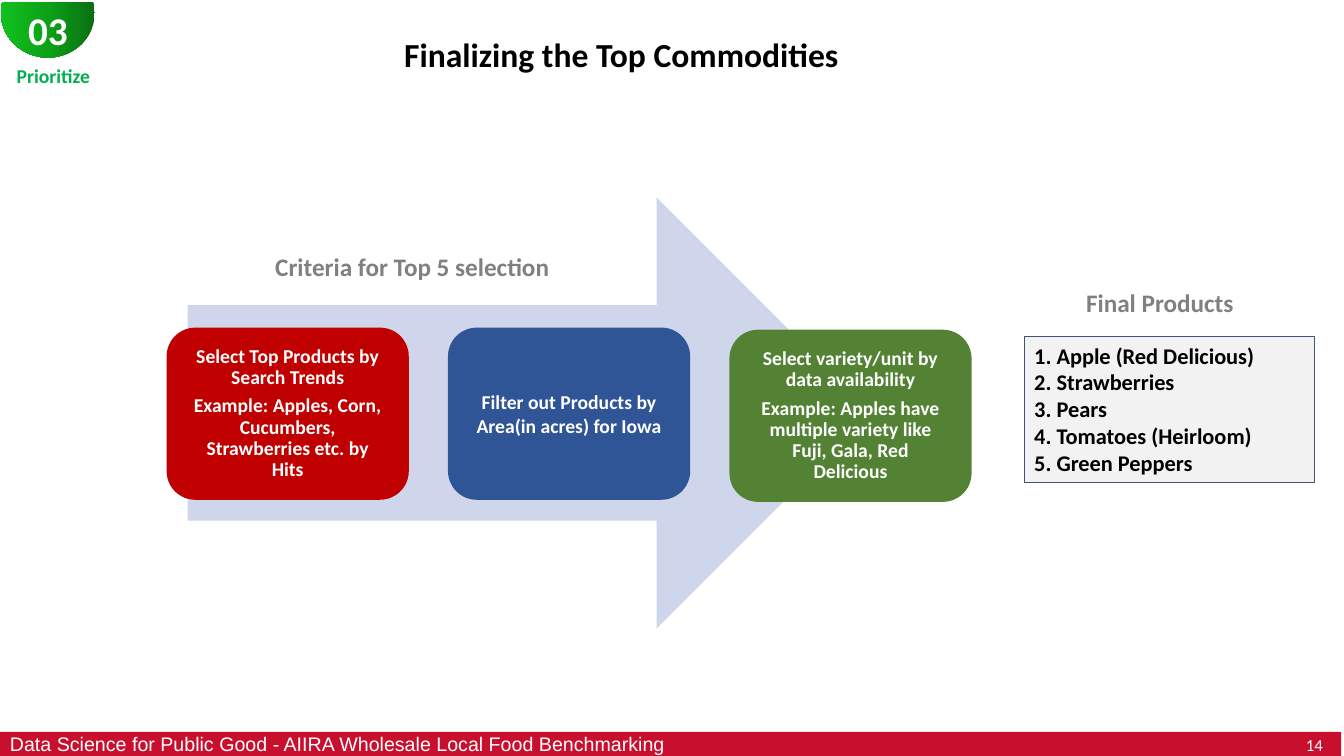
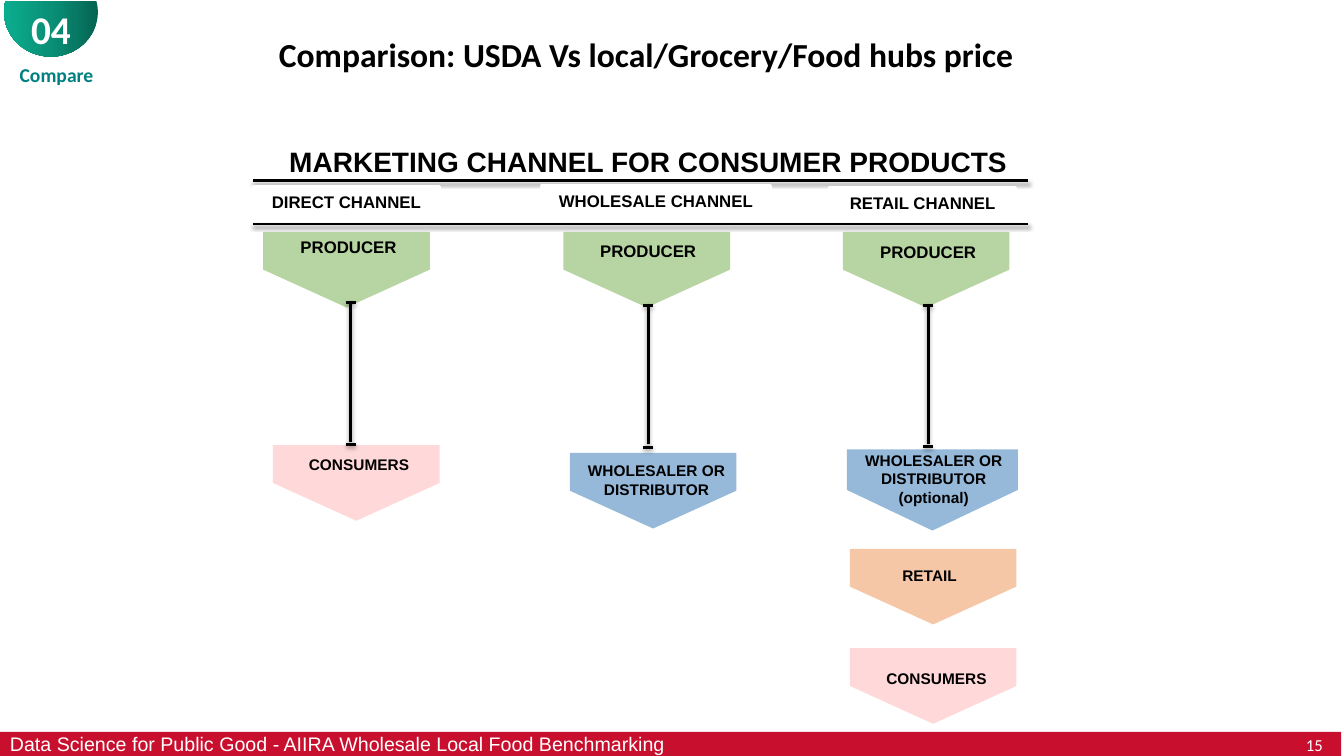
from copy import deepcopy
from math import cos, pi, sin

from lxml.etree import SubElement as Sub
from pptx import Presentation
from pptx.dml.color import RGBColor as RGB
from pptx.enum.shapes import MSO_CONNECTOR as Link, MSO_SHAPE as Kind
from pptx.enum.text import MSO_ANCHOR as Anchor, MSO_AUTO_SIZE as Auto, PP_ALIGN as Align
from pptx.oxml.ns import qn
from pptx.util import Pt

WHITE = RGB(0xFF, 0xFF, 0xFF)
BLACK = RGB(0x00, 0x00, 0x00)
CRIMSON = RGB(0xC8, 0x10, 0x2E)
GRAY = RGB(0x80, 0x80, 0x80)
PALE = RGB(0xF2, 0xF2, 0xF2)
SLATE = RGB(0x44, 0x54, 0x6A)
MIST = RGB(0xCF, 0xD5, 0xEA)
RED = RGB(0xC0, 0x00, 0x00)
NAVY = RGB(0x2F, 0x55, 0x97)
MOSS = RGB(0x54, 0x82, 0x35)
LEAF = RGB(0x70, 0xAD, 0x47)
ROSE = RGB(0xFF, 0x00, 0x00)
SKY = RGB(0x2E, 0x75, 0xB6)
PEACH = RGB(0xEF, 0x90, 0x4F)
GREEN = RGB(0x00, 0xB0, 0x50)
TEAL = RGB(0x00, 0x80, 0x80)
GREENS = RGB(0x09, 0x6F, 0x11), RGB(0x0D, 0xA1, 0x18), RGB(0x10, 0xC1, 0x1E)
TEALS = RGB(0x05, 0x64, 0x52), RGB(0x09, 0x90, 0x77), RGB(0x0B, 0xAD, 0x8F)

SANS = "Calibri"
PLAIN = "Arial"
FOOTER = "Data Science for Public Good - AIIRA Wholesale Local Food Benchmarking"


class Deck:
    def __init__(self):
        self.prs = Presentation()
        self.prs.slide_width = Pt(960)
        self.prs.slide_height = Pt(540)
        self.slide = None

    def start(self, layout, title, x, width, page):
        self.slide = self.prs.slides.add_slide(self.prs.slide_layouts[layout])
        head = self.slide.shapes.title
        self.place(head, x, 26.6, width, 24.5)
        self.paint(head, WHITE, WHITE, 2)
        self.label(head, [title], 24, align=Align.LEFT)
        band = self.shape(Kind.RECTANGLE, 0, 522.7, 958, 17.3, CRIMSON)
        self.label(band, [FOOTER], 14, WHITE, PLAIN, False, Align.LEFT, inset=(7.2, 0))
        self.text(738, 520.6, 214, 22.4, str(page), 12, WHITE, bold=False, align=Align.RIGHT)

    def place(self, item, x, y, w, h):
        item.left, item.top, item.width, item.height = Pt(x), Pt(y), Pt(w), Pt(h)

    def paint(self, item, fill, line=None, width=1):
        item.fill.solid()
        item.fill.fore_color.rgb = fill
        if line is None:
            item.line.fill.background()
        else:
            item.line.color.rgb = line
            item.line.width = Pt(width)

    def label(self, item, lines, size, color=BLACK, font=SANS, bold=True,
              align=Align.CENTER, anchor=Anchor.MIDDLE, inset=(7.2, 3.6)):
        frame = item.text_frame
        frame.text = "\n".join(lines)
        frame.word_wrap = True
        frame.auto_size = Auto.NONE
        frame.vertical_anchor = anchor
        frame.margin_left = frame.margin_right = Pt(inset[0])
        frame.margin_top = frame.margin_bottom = Pt(inset[1])
        for para in frame.paragraphs:
            para.alignment = align
            para.space_before = Pt(0)
            for run in para.runs:
                run.font.size = Pt(size)
                run.font.name = font
                run.font.bold = bold
                run.font.color.rgb = color
        return frame

    def text(self, x, y, w, h, words, size, color=BLACK, font=SANS, **style):
        box = self.slide.shapes.add_textbox(Pt(x), Pt(y), Pt(w), Pt(h))
        self.label(box, [words], size, color, font, **style)

    def shape(self, kind, x, y, w, h, fill, line=None, width=1):
        item = self.slide.shapes.add_shape(kind, Pt(x), Pt(y), Pt(w), Pt(h))
        item.shadow.inherit = False
        self.paint(item, fill, line, width)
        return item

    def badge(self, x, y, number, words, color, stops):
        arc = [-0.25 + (pi + 0.5) * i / 48 for i in range(49)]
        dots = [(Pt(x + 33.5 + 33.5 * cos(a)), Pt(y + 8 + 31.7 * sin(a))) for a in arc]
        form = self.slide.shapes.build_freeform(*dots[0])
        form.add_line_segments(dots[1:], close=True)
        bowl = form.convert_to_shape()
        bowl.shadow.inherit = False
        bowl.line.fill.background()
        bowl.fill.gradient()
        bowl.fill.gradient_angle = 180
        ramp = bowl._element.spPr.find(".//" + qn("a:gsLst"))
        ramp.insert(1, deepcopy(ramp[0]))
        for i, (stop, shade) in enumerate(zip(bowl.fill.gradient_stops, stops)):
            stop.position = i / 2
            stop.color.rgb = shade
        self.label(bowl, [number], 28, WHITE)
        self.text(x, y + 40.5, 75, 24.5, words, 14, color, anchor=Anchor.TOP)

    def card(self, x, y, fill, lines):
        item = self.shape(Kind.ROUNDED_RECTANGLE, x, y, 173, 123, fill)
        frame = self.label(item, lines, 14, WHITE, inset=(13.2, 9.6))
        if len(lines) > 1:
            for para in frame.paragraphs:
                para.line_spacing = 0.9
            frame.paragraphs[0].space_after = Pt(5)

    def list(self, x, y, w, h, lines):
        body = self.slide.placeholders[1]
        self.place(body, x, y, w, h)
        self.paint(body, PALE, SLATE, 0.75)
        frame = self.label(body, lines, 16, align=Align.LEFT, anchor=Anchor.TOP)
        for para in frame.paragraphs:
            props = para._p.get_or_add_pPr()
            props.set("marL", str(Pt(16)))
            props.set("indent", str(-Pt(16)))
            Sub(props, qn("a:buFont"), typeface=SANS)
            Sub(props, qn("a:buAutoNum"), type="arabicPeriod")

    def panel(self, x, y, w, h, words, size):
        item = self.shape(Kind.RECTANGLE, x, y, w, h, WHITE, WHITE, 2)
        self.label(item, [words], size, BLACK, PLAIN)

    def plate(self, x, y, words, shift, fill, alpha, size=11, w=119, h=54):
        item = self.shape(Kind.PENTAGON, x + (w - h) / 2, y - (w - h) / 2, h, w, fill)
        item.rotation = 90
        tint = item._element.spPr.find(".//" + qn("a:srgbClr"))
        Sub(tint, qn("a:alpha"), val=str(alpha * 1000))
        dx, dy = shift
        self.text(x + dx, y + dy, 114, 21.6, words, size, BLACK, PLAIN, inset=(0, 0))

    def line(self, x1, y1, x2, y2):
        item = self.slide.shapes.add_connector(Link.STRAIGHT, Pt(x1), Pt(y1), Pt(x2), Pt(y2))
        item.line.color.rgb = BLACK
        item.line.width = Pt(2)
        glow = Sub(item._element.spPr, qn("a:effectLst"))
        shade = Sub(glow, qn("a:outerShdw"), blurRad=str(Pt(3.1)), dist=str(Pt(1.6)),
                    dir="5400000", rotWithShape="0")
        Sub(Sub(shade, qn("a:srgbClr"), val=str(BLACK)), qn("a:alpha"), val="38000")

    def stem(self, x, top, low):
        self.line(x, top + 1.5, x, low - 2)
        for y in (top, low):
            self.line(x - 3.5, y, x + 3.5, y)


def rank(deck):
    deck.start(1, "Finalizing the Top Commodities", 281.5, 527, 14)
    deck.badge(0.7, 1.4, "03", "Prioritize", GREEN, GREENS)
    deck.shape(Kind.RIGHT_ARROW, 134, 141, 489, 308, MIST)
    cards = [
        (234, RED, ["Select Top Products by Search Trends",
                    "Example: Apples, Corn, Cucumbers, Strawberries etc. by Hits"]),
        (234, NAVY, ["Filter out Products by Area(in acres) for Iowa"]),
        (235.5, MOSS, ["Select variety/unit by data availability",
                       "Example: Apples have multiple variety like Fuji, Gala, Red Delicious"]),
    ]
    for i, (y, fill, lines) in enumerate(cards):
        deck.card(119 + 201 * i, y, fill, lines)
    deck.text(132, 176, 325, 29, "Criteria for Top 5 selection", 18, GRAY, anchor=Anchor.TOP)
    deck.text(725, 202, 207, 29, "Final Products", 18, GRAY, anchor=Anchor.TOP)
    deck.list(731.5, 240.5, 207.5, 104.5, [
        "Apple (Red Delicious)", "Strawberries", "Pears", "Tomatoes (Heirloom)", "Green Peppers"])


def compare(deck):
    deck.start(5, "Comparison: USDA Vs local/Grocery/Food hubs price", 192, 549.5, 15)
    deck.badge(2.9, 0.7, "04", "Compare", TEAL, TEALS)
    deck.panel(192, 93, 542, 44.6, "MARKETING CHANNEL FOR CONSUMER PRODUCTS", 20)
    for y in (129, 160):
        deck.line(181, y, 734.5, y)
    heads = [(181, 133.2, 133, "DIRECT CHANNEL"),
             (386.6, 132.5, 164, "WHOLESALE CHANNEL"),
             (592.6, 134, 133, "RETAIL CHANNEL")]
    for x, y, w, words in heads:
        deck.panel(x, y, w, 21.6, words, 12)
    for x, shift in ((188, (4, 0)), (402.5, (3.5, 3)), (602, (4, 3.5))):
        deck.plate(x, 165.6, "PRODUCER", shift, LEAF, 50, 12)
    deck.plate(195, 318, "CONSUMERS", (4.5, 3), ROSE, 15)
    deck.plate(407, 323.5, "WHOLESALER OR DISTRIBUTOR", (5, 8.5), SKY, 50)
    deck.plate(605, 321, "WHOLESALER OR DISTRIBUTOR (optional)", (5, 10), SKY, 50, w=122, h=58)
    deck.plate(607, 392, "RETAIL", (0, 8.5), PEACH, 50)
    deck.plate(607, 463, "CONSUMERS", (5, 10.5), ROSE, 15)
    for x, top, low in ((250.5, 216, 317.5), (463, 218, 319.5), (663, 218, 319)):
        deck.stem(x, top, low)


def main():
    deck = Deck()
    rank(deck)
    compare(deck)
    deck.prs.save("out.pptx")


if __name__ == "__main__":
    main()
